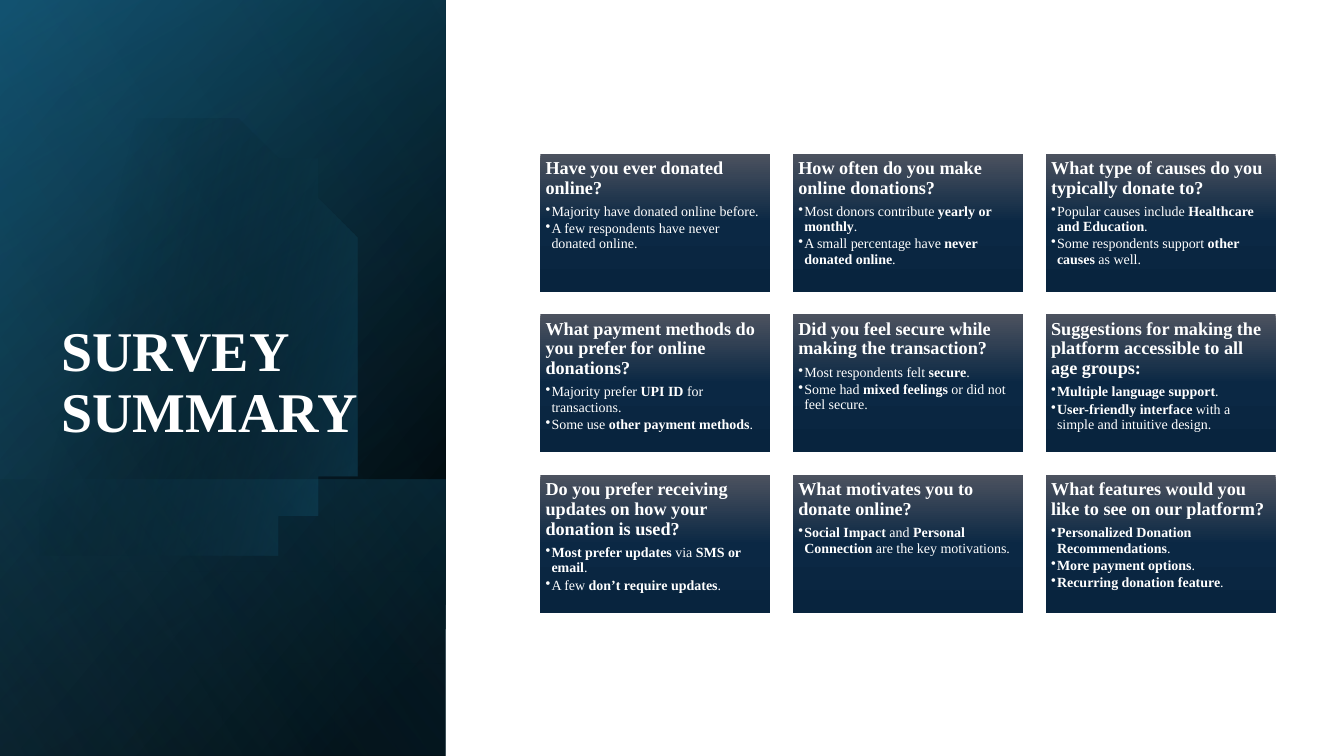
import dataclasses
import typing

import lxml.etree
import pptx
import pptx.dml.color
import pptx.enum.shapes
import pptx.enum.text
import pptx.oxml.ns
import pptx.util

Cm = pptx.util.Cm
Pt = pptx.util.Pt
qn = pptx.oxml.ns.qn
RECT = pptx.enum.shapes.MSO_SHAPE.RECTANGLE

FONT = "Times New Roman"
HUES = {
    "white": "FFFFFF",
    "black": "000000",
    "navy": "104862",
    "teal": "156082",
    "sky": "46B1E1",
    "slate": "4C525F",
    "ink": "0B2844",
    "deep": "08243E",
}
SIDE = 11.23  # width of the left panel, cm


class Stop(typing.NamedTuple):
    pos: int
    hue: str
    alpha: int = 100


@dataclasses.dataclass
class Layer:
    top: float
    high: float
    angle: int
    stops: list[Stop]


@dataclasses.dataclass
class Card:
    head: str
    points: list[str]  # asterisks enclose bold words


UNDER = [
    Layer(0, 19.05, 50, [Stop(8, "black"), Stop(100, "navy")]),
    Layer(0, 19.05, 30, [Stop(0, "black", 0), Stop(99, "teal", 46)]),
    Layer(12.09, 6.96, 130, [Stop(2, "teal", 29), Stop(100, "black", 30)]),
]
OVER = Layer(0, 19.05, 120, [Stop(0, "black", 0), Stop(99, "sky", 11)])
DISC = [Stop(29, "black", 0), Stop(100, "teal", 43)]
SHADE = [Stop(0, "slate"), Stop(50, "ink"), Stop(100, "deep")]

# Disc outline in cm: a start, then Bezier curves of two handles and an end
START = (0, 4.09)
CURVES = [
    [(0.56, 3.61), (1.27, 3.25), (2.03, 3.02)],
    [(2.62, 2.87), (3.2, 2.79), (3.78, 2.79)],
    [(6.25, 2.84), (8.51, 4.5), (9.22, 6.99)],
    [(10.11, 10.08), (8.33, 13.28), (5.26, 14.17)],
    [(3.33, 14.73), (1.35, 14.25), (0, 13.1)],
]

CARDS = [
    Card("Have you ever donated online?", [
        "Majority have donated online before.",
        "A few respondents have never donated online."]),
    Card("How often do you make online donations?", [
        "Most donors contribute *yearly or monthly*.",
        "A small percentage have *never donated online*."]),
    Card("What type of causes do you typically donate to?", [
        "Popular causes include *Healthcare and Education*.",
        "Some respondents support *other causes* as well."]),
    Card("What payment methods do you prefer for online donations?", [
        "Majority prefer *UPI ID* for transactions.",
        "Some use *other payment methods*."]),
    Card("Did you feel secure while making the transaction?", [
        "Most respondents felt *secure*.",
        "Some had *mixed feelings* or did not feel secure."]),
    Card("Suggestions for making the platform accessible to all age groups:", [
        "*Multiple language support*.",
        "*User-friendly interface* with a simple and intuitive design."]),
    Card("Do you prefer receiving updates on how your donation is used?", [
        "*Most prefer updates* via *SMS or email*.",
        "A few *don’t require updates*."]),
    Card("What motivates you to donate online?", [
        "*Social Impact* and *Personal Connection* are the key motivations."]),
    Card("What features would you like to see on our platform?", [
        "*Personalized Donation Recommendations*.",
        "*More payment options*.",
        "*Recurring donation feature*."]),
]


def blend(shape, stops: list[Stop], angle: int) -> None:
    """Fill a shape with a linear gradient and drop its line and shadow."""
    shape.shadow.inherit = False
    shape.line.fill.background()
    shape.fill.background()
    props = shape._element.spPr
    grad = lxml.etree.Element(qn("a:gradFill"), rotWithShape="1")
    group = lxml.etree.SubElement(grad, qn("a:gsLst"))
    for stop in stops:
        mark = lxml.etree.SubElement(group, qn("a:gs"), pos=str(stop.pos * 1000))
        tint = lxml.etree.SubElement(mark, qn("a:srgbClr"), val=HUES[stop.hue])
        if stop.alpha < 100:
            lxml.etree.SubElement(tint, qn("a:alpha"), val=str(stop.alpha * 1000))
    lxml.etree.SubElement(grad, qn("a:lin"), ang=str(angle * 60000), scaled="0")
    props.replace(props.find(qn("a:noFill")), grad)


def add_layer(slide, layer: Layer) -> None:
    """Draw a panel layer as a flipped rectangle turned a quarter."""
    gap = (SIDE - layer.high) / 2
    shape = slide.shapes.add_shape(
        RECT, Cm(gap), Cm(layer.top - gap), Cm(layer.high), Cm(SIDE))
    shape.rotation = 90
    shape._element.spPr.find(qn("a:xfrm")).set("flipH", "1")
    blend(shape, layer.stops, layer.angle)


def add_disc(slide) -> None:
    dots, last, steps = [], START, 24
    for one, two, end in CURVES:
        for step in range(1, steps + 1):
            t = step / steps
            u = 1 - t
            dots.append(tuple(
                u**3 * a + 3 * u * u * t * b + 3 * u * t * t * c + t**3 * d
                for a, b, c, d in zip(last, one, two, end)))
        last = end
    pen = slide.shapes.build_freeform(*START, scale=float(Cm(1)))
    pen.add_line_segments(dots, close=True)
    blend(pen.convert_to_shape(), DISC, 14)


def write(para, text: str, *, size: float, bold: bool = False, after: float = 0,
          align=pptx.enum.text.PP_ALIGN.LEFT, bullet: bool = False) -> None:
    para.alignment = align
    para.line_spacing = 0.9
    para.space_after = Pt(after)
    if bullet:
        props = para._p.get_or_add_pPr()
        props.set("marL", str(Cm(0.15)))
        props.set("indent", str(Cm(-0.15)))
        lxml.etree.SubElement(props, qn("a:buChar"), char="•")
    for spot, part in enumerate(text.split("*")):
        if part:
            run = para.add_run()
            run.text = part
            run.font.name = FONT
            run.font.size = Pt(size)
            run.font.bold = bold or spot % 2 == 1
            run.font.color.rgb = pptx.dml.color.RGBColor.from_string(HUES["white"])


def add_title(slide) -> None:
    box = slide.shapes.add_textbox(Cm(1.3), Cm(4.67), Cm(8.99), Cm(6.65))
    frame = box.text_frame
    frame.word_wrap = True
    frame.vertical_anchor = pptx.enum.text.MSO_ANCHOR.BOTTOM
    write(frame.paragraphs[0], "SURVEY SUMMARY", size=40, bold=True,
          align=pptx.enum.text.PP_ALIGN.JUSTIFY)


def add_card(slide, card: Card, left: float, top: float) -> None:
    shape = slide.shapes.add_shape(RECT, Cm(left), Cm(top), Cm(5.79), Cm(3.48))
    blend(shape, SHADE, 90)
    frame = shape.text_frame
    frame.word_wrap = True
    frame.vertical_anchor = pptx.enum.text.MSO_ANCHOR.TOP
    frame.margin_left = frame.margin_right = Cm(0.13)
    frame.margin_top = frame.margin_bottom = Cm(0.13)
    write(frame.paragraphs[0], card.head, size=13, bold=True, after=4.5)
    for point in card.points:
        write(frame.add_paragraph(), point, size=10, after=1.5, bullet=True)


def main() -> None:
    deck = pptx.Presentation()
    deck.slide_width, deck.slide_height = Cm(33.87), Cm(19.05)
    slide = deck.slides.add_slide(deck.slide_layouts[6])
    for layer in UNDER:
        add_layer(slide, layer)
    add_disc(slide)
    add_layer(slide, OVER)
    add_title(slide)
    for spot, card in enumerate(CARDS):
        row, col = divmod(spot, 3)
        add_card(slide, card, 13.62 + 6.37 * col, 3.87 + 4.05 * row)
    deck.save("out.pptx")


if __name__ == "__main__":
    main()
